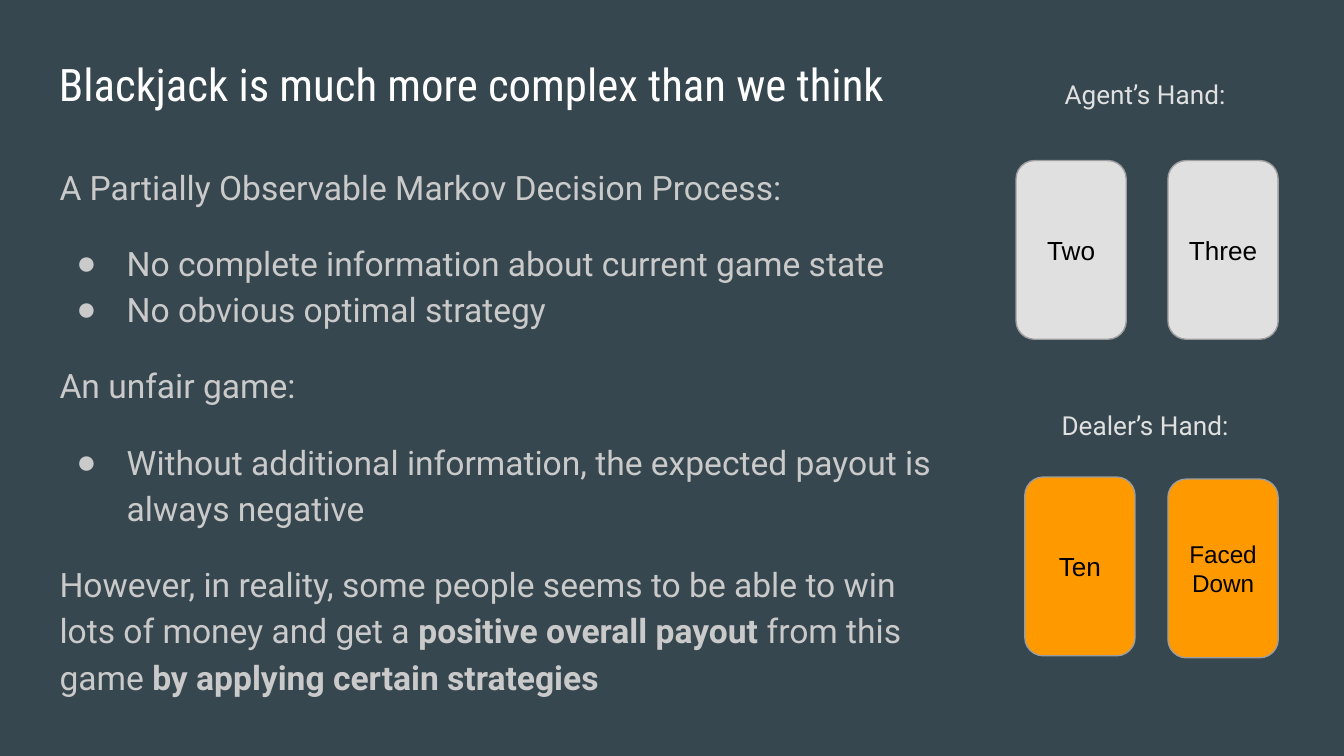
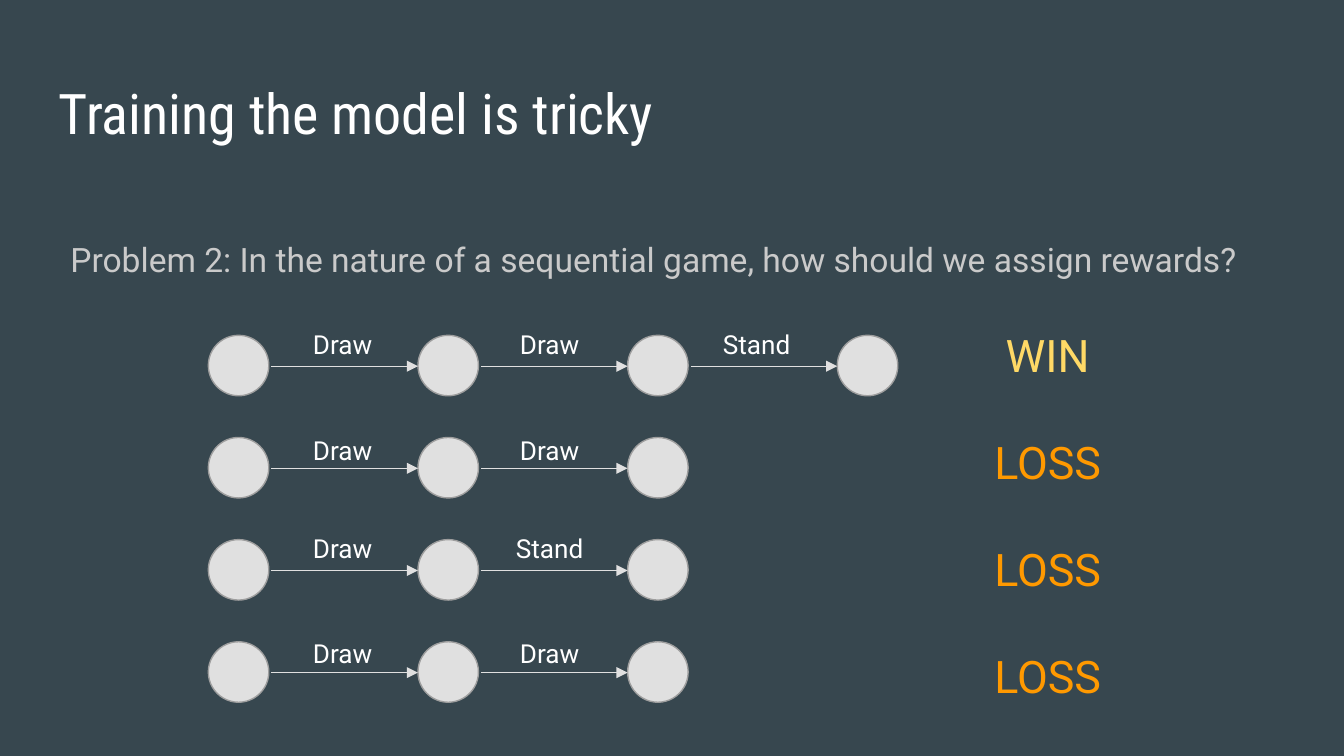
from lxml import etree
from pptx import Presentation
from pptx import util as u
from pptx.dml.color import RGBColor
from pptx.enum import shapes, text
from pptx.oxml import ns

# Shared style
PX = u.Inches(1) // 200
SLATE = RGBColor(0x37, 0x47, 0x4F)
WHITE = RGBColor(0xFF, 0xFF, 0xFF)
BLACK = RGBColor(0x00, 0x00, 0x00)
BODY_GREY = RGBColor(0xCA, 0xCA, 0xCA)
LIGHT_GREY = RGBColor(0xE0, 0xE0, 0xE0)
OUTLINE_GREY = RGBColor(0x9E, 0x9E, 0x9E)
ORANGE = RGBColor(0xFF, 0x99, 0x00)
YELLOW = RGBColor(0xFF, 0xD9, 0x66)
TITLE_FONT, BODY_FONT, CARD_FONT = "Roboto Condensed", "Roboto", "Arial"
CENTER = text.PP_ALIGN.CENTER


def add_xml(parent, tag, **attributes):
    return etree.SubElement(parent, ns.qn(tag), **attributes)


class Deck:
    def __init__(self, width, height):
        self.prs = Presentation()
        self.prs.slide_width = width * PX
        self.prs.slide_height = height * PX
        self.slide = None

    def new_slide(self):
        self.slide = self.prs.slides.add_slide(self.prs.slide_layouts[6])
        fill = self.slide.background.fill
        fill.solid()
        fill.fore_color.rgb = SLATE

    def format_runs(self, paragraph, font, size, color):
        for run in paragraph.runs:
            run.font.name = font
            run.font.size = u.Pt(size)
            run.font.color.rgb = color

    def frame(self, shape):
        frame = shape.text_frame
        frame.word_wrap = True
        frame.margin_left = frame.margin_right = 20 * PX
        frame.margin_top = frame.margin_bottom = 20 * PX
        return frame

    def textbox(self, x, y, w, h):
        return self.frame(self.slide.shapes.add_textbox(x * PX, y * PX, w * PX, h * PX))

    def label(self, words, x, y, w, h, size=14, color=WHITE, font=BODY_FONT, align=CENTER):
        frame = self.textbox(x, y, w, h)
        frame.text = words
        frame.paragraphs[0].alignment = align
        self.format_runs(frame.paragraphs[0], font, size, color)

    def title(self, words, y, size):
        self.label(words, 68, y, 1864, 126, size, font=TITLE_FONT, align=text.PP_ALIGN.LEFT)

    def body(self, entries, x, y, w, h):
        """Each entry is (pieces, bulleted, space before); every second piece is bold."""
        frame = self.textbox(x, y, w, h)
        for i, (pieces, bulleted, before) in enumerate(entries):
            paragraph = frame.add_paragraph() if i else frame.paragraphs[0]
            paragraph.line_spacing = 1.15
            paragraph.space_before = u.Pt(before)
            for j, piece in enumerate(pieces):
                run = paragraph.add_run()
                run.text = piece
                run.font.bold = j % 2 == 1
            self.format_runs(paragraph, BODY_FONT, 18, BODY_GREY)
            if bulleted:
                self.bullet(paragraph)
        paragraph.space_after = u.Pt(16)

    def bullet(self, paragraph):
        props = paragraph._p.get_or_add_pPr()
        props.set("marL", str(100 * PX))
        props.set("indent", str(-75 * PX))
        add_xml(add_xml(props, "a:buClr"), "a:srgbClr", val=str(BODY_GREY))
        add_xml(props, "a:buFont", typeface=CARD_FONT)
        add_xml(props, "a:buChar", char="●")

    def outlined(self, kind, x, y, w, h, color):
        shape = self.slide.shapes.add_shape(kind, x * PX, y * PX, w * PX, h * PX)
        shape.shadow.inherit = False
        shape.fill.solid()
        shape.fill.fore_color.rgb = color
        shape.line.color.rgb = OUTLINE_GREY
        shape.line.width = u.Pt(0.75)
        return shape

    def card(self, words, x, y, color, size=14):
        card = self.outlined(shapes.MSO_SHAPE.ROUNDED_RECTANGLE, x, y, 164, 266, color)
        frame = self.frame(card)
        frame.vertical_anchor = text.MSO_ANCHOR.MIDDLE
        frame.text = words
        frame.paragraphs[0].alignment = CENTER
        self.format_runs(frame.paragraphs[0], CARD_FONT, size, BLACK)

    def state(self, x, y, size):
        self.outlined(shapes.MSO_SHAPE.OVAL, x, y, size, size, LIGHT_GREY)

    def arrow(self, x1, x2, y):
        arrow = self.slide.shapes.add_connector(
            shapes.MSO_CONNECTOR.STRAIGHT, x1 * PX, y * PX, x2 * PX, y * PX)
        arrow.line.color.rgb = LIGHT_GREY
        arrow.line.width = u.Pt(0.75)
        add_xml(arrow.line._get_or_add_ln(), "a:tailEnd", type="triangle")
        add_xml(arrow._element.spPr, "a:effectLst")

    def outcomes(self, results, x, y, w, h):
        frame = self.textbox(x, y, w, h)
        for i, result in enumerate(results):
            paragraph = frame.add_paragraph() if i else frame.paragraphs[0]
            paragraph.text = result
            paragraph.alignment = CENTER
            paragraph.space_before = u.Pt(28.5 if i else 0)
            self.format_runs(paragraph, BODY_FONT, 24, YELLOW if result == "WIN" else ORANGE)


def complexity_slide(deck):
    deck.new_slide()
    deck.title("Blackjack is much more complex than we think", 64, 24)
    deck.body([
        (["A Partially Observable Markov Decision Process:"], False, 0),
        (["No complete information about current game state"], True, 16),
        (["No obvious optimal strategy"], True, 0),
        (["An unfair game:"], False, 16),
        (["Without additional information, the expected payout is always negative"], True, 16),
        (["However, in reality, some people seems to be able to win lots of money and get a ",
          "positive overall payout", " from this game ",
          "by applying certain strategies"], False, 16),
    ], 69, 219, 1354, 820)

    # Hands
    for owner, y in (("Agent’s Hand:", 97), ("Dealer’s Hand:", 590)):
        deck.label(owner, 1552, y, 304, 114, color=LIGHT_GREY)
    deck.card("Two", 1512, 239, LIGHT_GREY)
    deck.card("Three", 1738, 239, LIGHT_GREY)
    deck.card("Ten", 1525, 710, ORANGE)
    deck.card("Faced Down", 1738, 713, ORANGE, 13)


def rewards_slide(deck):
    deck.new_slide()
    deck.title("Training the model is tricky", 97, 30)
    deck.body([(["Problem 2: In the nature of a sequential game, "
                 "how should we assign rewards?"], False, 0)], 85, 326, 1830, 124)

    # Games: actions, label top, result
    games = [
        (["Draw", "Draw", "Stand"], 468, "WIN"),
        (["Draw", "Draw"], 627, "LOSS"),
        (["Draw", "Stand"], 772, "LOSS"),
        (["Draw", "Draw"], 929, "LOSS"),
    ]
    left, top, state_size, step, row_step = 310, 499, 90, 312, 152
    for row, (actions, action_y, _) in enumerate(games):
        y = top + row * row_step
        for i in range(len(actions) + 1):
            deck.state(left + i * step, y, state_size)
        for i, action in enumerate(actions):
            x = left + i * step
            deck.arrow(x + state_size + 4, x + step, y + 46)
            deck.label(action, 416 + i * 308, action_y, 188, 72)
    deck.outcomes([result for _, _, result in games], 1430, 468, 258, 578)


def main():
    deck = Deck(2000, 1125)
    complexity_slide(deck)
    rewards_slide(deck)
    deck.prs.save("out.pptx")


if __name__ == "__main__":
    main()
